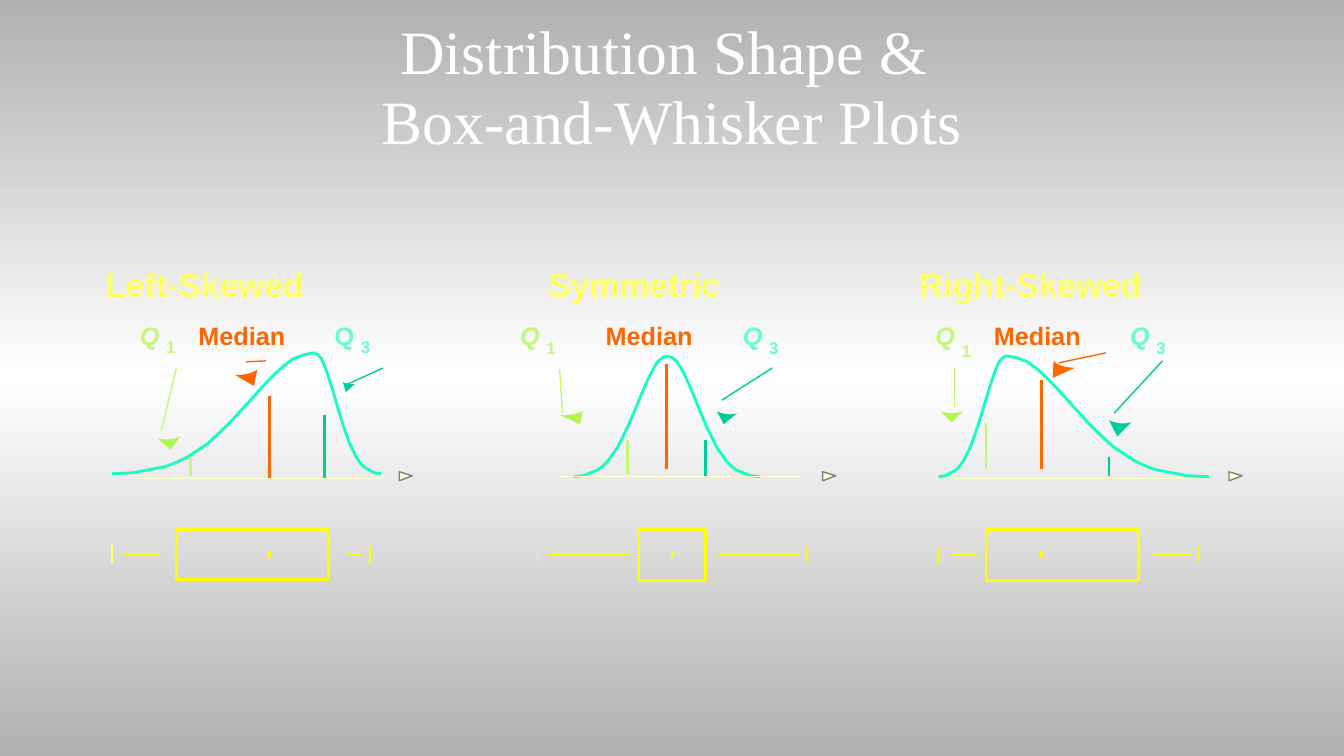
from pptx import Presentation
from pptx.dml.color import RGBColor
from pptx.enum.shapes import MSO_CONNECTOR
from pptx.enum.text import MSO_ANCHOR, MSO_AUTO_SIZE, PP_ALIGN
from pptx.oxml.ns import qn
from pptx.util import Inches, Pt
from lxml import etree

STRAIGHT = MSO_CONNECTOR.STRAIGHT
MIDDLE = MSO_ANCHOR.MIDDLE
FIT_SHAPE = MSO_AUTO_SIZE.SHAPE_TO_FIT_TEXT
CENTER = PP_ALIGN.CENTER

WHITE = "FFFFFF"
GREY = "B0B0B0"
HEADING = "FFFF66"
LIME = "C3F777"
LIME_HEAD = "B2F54F"
ORANGE = "FF6600"
AQUA = "66FFCC"
TEAL = "00CC99"
CURVE = "13FFC1"
CREAM = "FFFFCC"
YELLOW = "FFFF00"

CURVE_STEPS = [0, 2, 3, 4, 5, 6, 7, 9, 11, 13, 14, 15, 16, 17, 18, 19]
CURVE_RISES = [0, 0.01, 0.03, 0.05, 0.07, 0.11, 0.16, 0.3,
               0.5, 0.73, 0.85, 0.96, 1.06, 1.14, 1.18, 1.2]

PANELS = [
    dict(heading=("Left-Skewed", 0.95, 2.18),
         q1=(1.29, 3.29), median=1.87, q3=(3.22, 3.29), q3_italic=False,
         curve=(1.11, 3.12, 3.78, 4.7), axis=(1.35, 3.77, 4.75), axis_head=3.96,
         quartiles=[(1.89, 4.53, 4.72, LIME), (2.67, 3.93, 4.74, ORANGE),
                    (3.22, 4.12, 4.74, TEAL)],
         pointers=[(1.75, 3.65, 1.6, 4.27, LIME), (2.64, 3.58, 2.44, 3.59, ORANGE),
                   (3.8, 3.65, 3.43, 3.82, TEAL)],
         heads=[((1.79, 4.33), (1.69, 4.46), (1.56, 4.35), (1.68, 4.36), LIME_HEAD),
                ((2.55, 3.67), (2.52, 3.83), (2.33, 3.72), (2.45, 3.71), ORANGE),
                ((3.52, 3.81), (3.43, 3.89), (3.4, 3.79), (3.46, 3.81), TEAL)],
         box=(1.75, 3.26, 5.75), box_median=2.67,
         whiskers=[(1.22, 1.58), (3.44, 3.58)],
         ends=[(1.11, 5.41, 5.6, HEADING), (3.67, 5.42, 5.6, YELLOW)]),
    dict(heading=("Symmetric", 5.34, 1.92),
         q1=(5.06, 3.3), median=5.91, q3=(7.27, 3.3), q3_italic=True,
         curve=(5.69, 6.62, 7.54, 4.73), axis=(5.53, 7.96, 4.73), axis_head=8.16,
         quartiles=[(6.22, 4.37, 4.7, LIME), (6.61, 3.61, 4.65, ORANGE),
                    (7, 4.37, 4.72, TEAL)],
         pointers=[(5.55, 3.66, 5.58, 4.1, LIME), (7.66, 3.65, 7.16, 3.97, TEAL)],
         heads=[((5.78, 4.08), (5.75, 4.21), (5.56, 4.12), (5.68, 4.11), LIME_HEAD),
                ((7.31, 4.1), (7.18, 4.21), (7.11, 4.08), (7.21, 4.11), TEAL)],
         box=(6.33, 7, 5.76), box_median=6.67,
         whiskers=[(5.44, 6.25), (7.11, 7.92)],
         ends=[(5.33, 5.41, 5.57, YELLOW), (8, 5.41, 5.57, YELLOW)]),
    dict(heading=("Right-Skewed", 9.02, 2.42),
         q1=(9.18, 3.33), median=9.76, q3=(11.11, 3.3), q3_italic=True,
         curve=(9.31, 9.98, 11.99, 4.73), axis=(9.46, 11.88, 4.75), axis_head=12.19,
         quartiles=[(9.78, 4.2, 4.65, LIME), (10.33, 3.77, 4.65, ORANGE),
                    (11, 4.53, 4.72, TEAL), (11.15, 4.64, 4.64, "006600")],
         pointers=[(9.47, 3.65, 9.47, 4.04, LIME), (10.97, 3.5, 10.5, 3.6, ORANGE),
                   (11.53, 3.58, 11.05, 4.1, TEAL)],
         heads=[((9.55, 4.08), (9.44, 4.19), (9.33, 4.08), (9.44, 4.1), LIME_HEAD),
                ((10.66, 3.65), (10.44, 3.75), (10.45, 3.58), (10.53, 3.63), ORANGE),
                ((11.22, 4.19), (11.08, 4.33), (11, 4.17), (11.11, 4.2), TEAL)],
         box=(9.78, 11.29, 5.76), box_median=10.33,
         whiskers=[(9.44, 9.69), (11.44, 11.81)],
         ends=[(9.31, 5.44, 5.6, YELLOW), (11.89, 5.41, 5.57, YELLOW)]),
]


def rgb(color):
    return RGBColor.from_string(color)


def add_background(s):
    fill = s.background.fill
    fill.gradient()
    fill.gradient_angle = 90
    stops = fill._fill._gradFill.find(qn("a:gsLst"))
    for stop in list(stops):
        stops.remove(stop)
    for position, color in [(0, GREY), (50000, WHITE), (100000, GREY)]:
        stop = etree.SubElement(stops, qn("a:gs"), pos=str(position))
        etree.SubElement(stop, qn("a:srgbClr"), val=color)


def add_text(s, text, x, y, w, h, size, color, font="Arial", bold=True, italic=False):
    sp = s.shapes.add_textbox(Inches(x), Inches(y), Inches(w), Inches(h))
    tf = sp.text_frame
    tf.text = text
    tf.word_wrap = False
    tf.auto_size = FIT_SHAPE
    for r in tf.paragraphs[0].runs:
        r.font.name = font
        r.font.size = Pt(size)
        r.font.bold = bold
        r.font.italic = italic
        r.font.color.rgb = rgb(color)
    return tf


def add_title(s):
    tf = add_text(s, "Distribution Shape & \vBox-and-Whisker Plots", 1, 0.25, 11.33, 1.25,
                  44, WHITE, "Times New Roman", bold=False)
    tf.auto_size = MSO_AUTO_SIZE.NONE
    tf.word_wrap = True
    tf.vertical_anchor = MIDDLE
    p = tf.paragraphs[0]
    p.alignment = CENTER
    p.line_spacing = 0.95


def add_line(s, x1, y1, x2, y2, color, width=1):
    line = s.shapes.add_connector(STRAIGHT, Inches(x1), Inches(y1), Inches(x2), Inches(y2))
    line.line.color.rgb = rgb(color)
    line.line.width = Pt(width)
    etree.SubElement(line._element.spPr, qn("a:effectLst"))


def add_outline(s, points, fill=None, line=None, width=1, close=True):
    start, *rest = [(Inches(x), Inches(y)) for x, y in points]
    builder = s.shapes.build_freeform(*start)
    builder.add_line_segments(rest, close=close)
    sp = builder.convert_to_shape()
    sp.shadow.inherit = False
    if fill:
        sp.fill.solid()
        sp.fill.fore_color.rgb = rgb(fill)
    else:
        sp.fill.background()
    if line:
        sp.line.color.rgb = rgb(line)
        sp.line.width = Pt(width)
    else:
        sp.line.fill.background()


def add_pointer_head(s, right, tip, left, middle, color):
    control = [2 * m - (a + b) / 2 for a, b, m in zip(left, right, middle)]
    back = []
    for i in range(1, 8):
        t = i / 8
        back.append([(1 - t) ** 2 * a + 2 * t * (1 - t) * c + t ** 2 * b
                     for a, c, b in zip(left, control, right)])
    add_outline(s, [right, tip, left] + back, fill=color)


def add_curve(s, left, peak, right, base):
    for foot in (left, right):
        points = [(foot + (peak - foot) * step / 19, base - rise)
                  for step, rise in zip(CURVE_STEPS, CURVE_RISES)]
        add_outline(s, points, line=CURVE, width=2, close=False)


def add_quartile_label(s, x, sub_y, number, color, italic=True):
    add_text(s, "Q", x, 3.13, 0.4, 0.4, 18, color, italic=italic)
    add_text(s, number, x + 0.26, sub_y, 0.29, 0.3, 12, color)


def add_distribution(s, panel):
    for x, top, bottom, color in panel["quartiles"]:
        add_line(s, x, top, x, bottom, color, 2)
    for pointer in panel["pointers"]:
        add_line(s, *pointer)
    for head in panel["heads"]:
        add_pointer_head(s, *head)
    add_curve(s, *panel["curve"])
    left, right, y = panel["axis"]
    add_line(s, left, y, right, y, CREAM)
    x = panel["axis_head"]
    add_outline(s, [(x, 4.68), (x + 0.13, 4.72), (x, 4.77)], CREAM, "808080")


def add_box_plot(s, panel):
    left, right, bottom = panel["box"]
    add_outline(s, [(left, bottom), (right, bottom), (right, 5.25), (left, 5.25)],
                line=YELLOW, width=2)
    add_line(s, panel["box_median"], 5.48, panel["box_median"], 5.54, YELLOW, 2)
    for start, end in panel["whiskers"]:
        add_line(s, start, 5.5, end, 5.5, YELLOW)
    for x, top, foot, color in panel["ends"]:
        add_line(s, x, top, x, foot, color)


def main():
    prs = Presentation()
    prs.slide_width = Inches(13.33)
    prs.slide_height = Inches(7.5)
    s = prs.slides.add_slide(prs.slide_layouts[6])
    add_background(s)
    add_title(s)
    for panel in PANELS:
        name, x, width = panel["heading"]
        add_text(s, name, x, 2.57, width, 0.5, 24, HEADING)
        add_quartile_label(s, *panel["q1"], "1", LIME)
        add_text(s, "Median", panel["median"], 3.13, 1.07, 0.4, 18, ORANGE)
        add_quartile_label(s, *panel["q3"], "3", AQUA, panel["q3_italic"])
        add_distribution(s, panel)
        add_box_plot(s, panel)
    prs.save("out.pptx")


if __name__ == "__main__":
    main()
